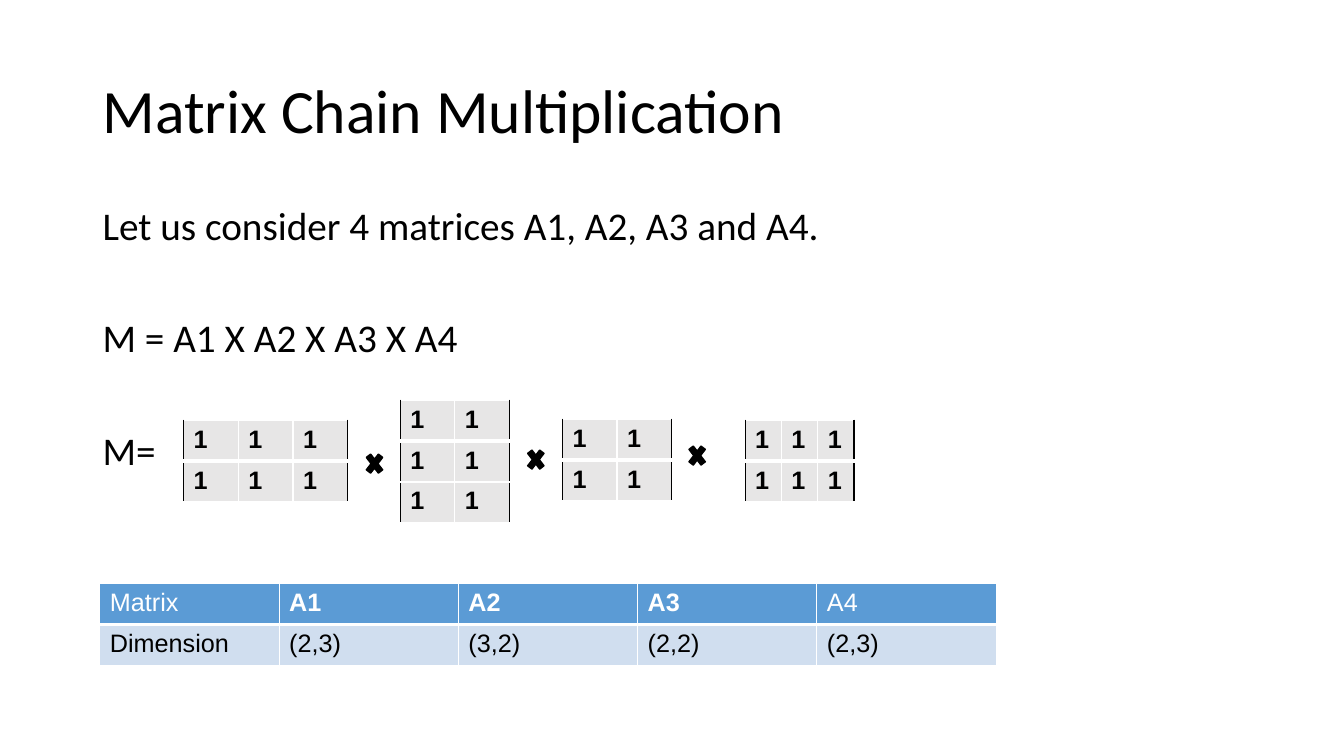
from dataclasses import dataclass

from lxml import etree
from pptx import Presentation
from pptx.dml.color import RGBColor
from pptx.enum.shapes import MSO_SHAPE
from pptx.enum.text import MSO_ANCHOR
from pptx.oxml.ns import qn
from pptx.util import Inches, Pt

TIMES = MSO_SHAPE.MATH_MULTIPLY
TOP, MIDDLE = MSO_ANCHOR.TOP, MSO_ANCHOR.MIDDLE


@dataclass(frozen=True)
class Theme:
    ink: str = "000000"
    paper: str = "FFFFFF"
    head: str = "5B9BD5"
    band: str = "D0DEEF"
    gray: str = "E7E6E6"
    font: str = "Calibri"
    grid: str = "Arial"
    title: int = 44
    body: int = 28
    cell: int = 18
    thin: int = 1
    thick: int = 3


class Deck:
    def __init__(self, theme):
        self.theme = theme
        self.prs = Presentation()
        self.prs.slide_width, self.prs.slide_height = Inches(13.33), Inches(7.5)
        self.slide = self.prs.slides.add_slide(self.prs.slide_layouts[6])

    def style(self, font, name, size, color, bold=False):
        font.name, font.size, font.bold = name, Pt(size), bold
        font.color.rgb = RGBColor.from_string(color)

    def text(self, box, lines, size, anchor=TOP, gap=0):
        frame = self.slide.shapes.add_textbox(*map(Inches, box)).text_frame
        frame.word_wrap = True
        frame.vertical_anchor = anchor
        frame.text = "\n".join(lines)
        for i, para in enumerate(frame.paragraphs):
            para.line_spacing = 0.9
            if i:
                para.space_before = Pt(gap)
            self.style(para.runs[0].font, self.theme.font, size, self.theme.ink)

    def edge(self, cell, side, color, width):
        line = etree.SubElement(cell._tc.get_or_add_tcPr(), qn("a:ln" + side),
                                w=str(Pt(width)))
        fill = etree.SubElement(line, qn("a:solidFill"))
        etree.SubElement(fill, qn("a:srgbClr"), val=color)

    def table(self, box, rows, look, sides):
        """look(row, col) gives the fill, text colour and weight of a cell."""
        theme = self.theme
        count = len(rows[0])
        table = self.slide.shapes.add_table(
            len(rows), count, *map(Inches, box)).table
        table.first_row = table.horz_banding = False
        for col in table.columns:
            col.width = Inches(box[2] / count)
        for r, row in enumerate(rows):
            table.rows[r].height = Inches(box[3] / len(rows))
            for c, word in enumerate(row):
                cell = table.cell(r, c)
                # Outer sides take their own colour, the rest is white
                self.edge(cell, "L", theme.paper if c else sides, theme.thin)
                self.edge(cell, "R", theme.paper if c < count - 1 else sides,
                          theme.thin)
                self.edge(cell, "T", theme.paper, theme.thin)
                self.edge(cell, "B", theme.paper, theme.thin if r else theme.thick)
                fill, color, bold = look(r, c)
                cell.fill.solid()
                cell.fill.fore_color.rgb = RGBColor.from_string(fill)
                cell.text = word
                self.style(cell.text_frame.paragraphs[0].runs[0].font,
                           theme.grid, theme.cell, color, bold)

    def matrix(self, box, rows, cols):
        theme = self.theme
        self.table(box, [["1"] * cols] * rows,
                   lambda r, c: (theme.gray, theme.ink, True), theme.ink)

    def times(self, left, top):
        sign = self.slide.shapes.add_shape(
            TIMES, *map(Inches, (left, top, 0.23, 0.3)))
        sign.shadow.inherit = False
        ink = RGBColor.from_string(self.theme.ink)
        sign.fill.solid()
        sign.fill.fore_color.rgb = ink
        sign.line.color.rgb = ink
        sign.line.width = Pt(self.theme.thin)


def main():
    theme = Theme()
    deck = Deck(theme)

    # Title and statement
    deck.text((0.92, 0.4, 11.5, 1.45), ["Matrix Chain Multiplication"],
              theme.title, MIDDLE)
    deck.text((0.92, 2, 11.5, 4.76),
              ["Let us consider 4 matrices A1, A2, A3 and A4.",
               "M = A1 X A2 X A3 X A4", "M="], theme.body, gap=50)

    # Dimension table
    def look(r, c):
        if r:
            return theme.band, theme.ink, False
        return theme.head, theme.paper, c in (1, 2, 3)

    deck.table((0.99, 5.79, 8.89, 0.81),
               [["Matrix", "A1", "A2", "A3", "A4"],
                ["Dimension", "(2,3)", "(3,2)", "(2,2)", "(2,3)"]],
               look, theme.paper)

    # The four matrices
    for box, rows, cols in (((1.82, 4.17, 1.63, 0.81), 2, 3),
                            ((3.97, 3.97, 1.08, 1.22), 3, 2),
                            ((5.58, 4.16, 1.08, 0.81), 2, 2),
                            ((7.39, 4.17, 1.08, 0.81), 2, 3)):
        deck.matrix(box, rows, cols)

    # Signs between them
    for i in range(3):
        deck.times(3.6 + 1.6 * i, 4.45 - 0.04 * i)

    deck.prs.save("out.pptx")


if __name__ == "__main__":
    main()
